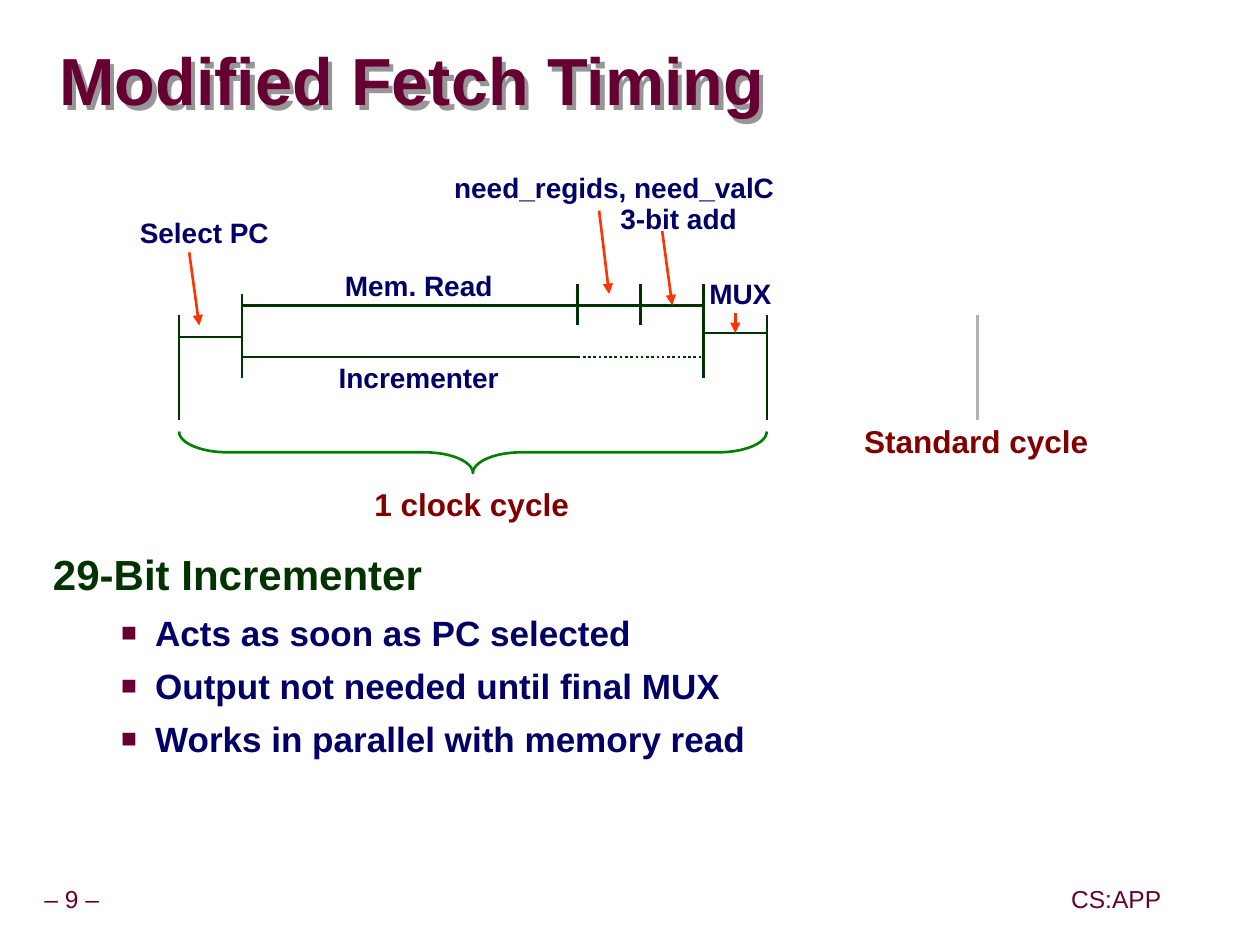
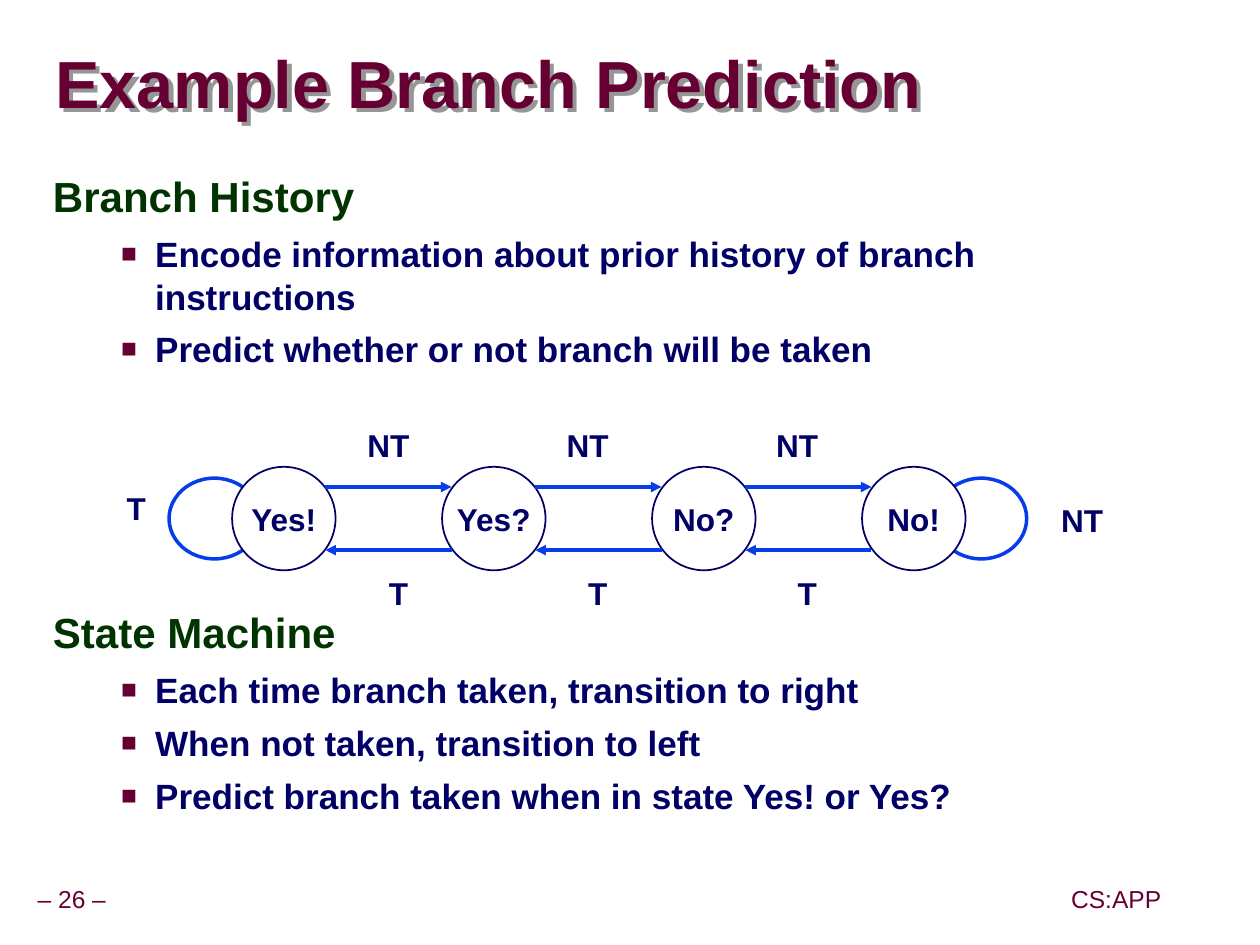
"""Builds two lecture slides: fetch timing and branch prediction."""
import pptx
import pptx.util
import pptx.dml.color
import pptx.enum.dml
import pptx.enum.shapes
import pptx.enum.text
import pptx.oxml

Inch, Pt = pptx.util.Inches, pptx.util.Pt
Align, Anchor = pptx.enum.text.PP_ALIGN, pptx.enum.text.MSO_ANCHOR
Shape = pptx.enum.shapes.MSO_SHAPE
WIDE, HIGH = 9.99, 7.49
WINE, PINE, NAVY, BRICK = "660033", "003300", "000066", "800000"
RED, LEAF, GREY, BLUE, SHADE = "FF3300", "008000", "B2B2B2", "063DE8", "969696"
SPACE = 'xmlns:a="http://schemas.openxmlformats.org/drawingml/2006/main"'

TIMING = {
    "title": "Modified Fetch Timing", "spot": (0.47, 0.25), "page": 9, "top": 4.33,
    "body": [("29-Bit Incrementer", 0, [
        "Acts as soon as PC selected",
        "Output not needed until final MUX",
        "Works in parallel with memory read"])],
}
BRANCH = {
    "title": "Example Branch Prediction", "spot": (0.44, 0.27), "page": 26, "top": 1.33,
    "body": [
        ("Branch History", 0, [
            "Encode information about prior history of branch instructions",
            "Predict whether or not branch will be taken"]),
        ("State Machine", 137, [
            "Each time branch taken, transition to right",
            "When not taken, transition to left",
            "Predict branch taken when in state Yes! or Yes?"])],
}

START, PICK, READ, NEED, ADD, END = 1.42, 1.92, 4.58, 5.08, 5.58, 6.08
UPPER, LOWER = 2.42, 2.83
BARS = [(START, 2.5, 3.33), (PICK, 2.33, 3), (READ, 2.25, 2.58),
        (NEED, 2.25, 2.58), (ADD, 2.25, 3), (END, 2.5, 3.33)]
SPANS = [(START, PICK, 2.67), (PICK, READ, UPPER), (READ, NEED, UPPER),
         (NEED, ADD, UPPER), (ADD, END, 2.64), (PICK, READ, LOWER)]
HINTS = [(1.5, 2, 1.58, 2.58), (4.75, 1.67, 4.83, 2.33),
         (5.25, 1.83, 5.33, 2.42), (5.83, 2.48, 5.83, 2.64)]
STEPS = [("Select PC", 1.62, 1.69, 1.12), ("Mem. Read", 3.32, 2.11, 1.27),
         ("Incrementer", 3.32, 2.84, 1.37), ("need_regids, need_valC", 4.87, 1.33, 2.64),
         ("3-bit add", 5.38, 1.58, 1.02), ("MUX", 5.87, 2.17, 0.59)]
CYCLES = [("1 clock cycle", 3.74, 3.83, 1.64), ("Standard cycle", 7.74, 3.33, 1.88)]

STATES = ["Yes!", "Yes?", "No?", "No!"]
FIRST, PITCH, DISC, RING = 1.84, 1.665, 0.82, 3.7
MOVES = [("NT", 3.08, 3.33), ("NT", 4.66, 3.33), ("NT", 6.32, 3.33), ("NT", 8.58, 3.92),
         ("T", 3.16, 4.5), ("T", 4.74, 4.5), ("T", 6.4, 4.5), ("T", 1.08, 3.83)]


def tint(code):
    return pptx.dml.color.RGBColor.from_string(code)


def node(text):
    return pptx.oxml.parse_xml(text)


def write(para, text, size=18, color=NAVY, bold=True, align=Align.CENTER, lead=1.0, gap=0):
    run = para.add_run()
    run.text = text
    para.alignment, para.line_spacing, para.space_before = align, lead, Pt(gap)
    run.font.name, run.font.size, run.font.bold = "Arial", Pt(size), bold
    run.font.color.rgb = tint(color)


def fit(frame, side=0.05, edge=0.05, anchor=Anchor.TOP, wrap=False):
    frame.auto_size = pptx.enum.text.MSO_AUTO_SIZE.NONE
    frame.margin_left = frame.margin_right = Inch(side)
    frame.margin_top = frame.margin_bottom = Inch(edge)
    frame.vertical_anchor, frame.word_wrap = anchor, wrap


def place(shape, left, top, width, height):
    shape.left, shape.top = Inch(left), Inch(top)
    shape.width, shape.height = Inch(width), Inch(height)


def label(slide, text, mid, top, width, height=0.34, anchor=Anchor.TOP, **style):
    box = slide.shapes.add_textbox(Inch(mid - width / 2), Inch(top), Inch(width), Inch(height))
    fit(box.text_frame, anchor=anchor)
    write(box.text_frame.paragraphs[0], text, **style)


def rule(slide, x1, y1, x2, y2, color=PINE, width=1.5, arrow=False, dots=False):
    line = slide.shapes.add_connector(
        pptx.enum.shapes.MSO_CONNECTOR.STRAIGHT, Inch(x1), Inch(y1), Inch(x2), Inch(y2))
    line.line.color.rgb, line.line.width = tint(color), Pt(width)
    if dots:
        line.line.dash_style = pptx.enum.dml.MSO_LINE.ROUND_DOT
    if arrow:
        line.line._get_or_add_ln().append(node(f'<a:tailEnd {SPACE} type="triangle"/>'))
    line._element.spPr.append(node(f"<a:effectLst {SPACE}/>"))


def form(slide, kind, left, top, width, height, color, thick, fill=None):
    shape = slide.shapes.add_shape(kind, Inch(left), Inch(top), Inch(width), Inch(height))
    shape.shadow.inherit = False
    shape.line.color.rgb, shape.line.width = tint(color), Pt(thick)
    if fill:
        shape.fill.solid()
        shape.fill.fore_color.rgb = tint(fill)
    else:
        shape.fill.background()
    return shape


def bullet(para, margin, hang, mark):
    props = para._p.get_or_add_pPr()
    props.set("marL", str(Inch(margin)))
    props.set("indent", str(Inch(-hang)))
    parts = ["<a:buNone {}/>"]
    if mark:
        parts = ['<a:buClr {}><a:srgbClr val="' + WINE + '"/></a:buClr>',
                 '<a:buSzPct {} val="75000"/>', '<a:buFont {} typeface="Arial"/>',
                 '<a:buChar {} char="■"/>']
    for part in parts:
        props.append(node(part.format(SPACE)))


def outline(frame, body):
    fit(frame, side=0.1, wrap=True)
    rows = []
    for head, gap, items in body:
        rows.append((head, 0, gap))
        rows += [(item, 1, 6.2) for item in items]
    for i, (text, level, gap) in enumerate(rows):
        para = frame.add_paragraph() if i else frame.paragraphs[0]
        para.level = level
        if level:
            bullet(para, 0.81, 0.27, True)
            write(para, text, size=20, align=Align.LEFT, gap=gap)
        else:
            bullet(para, 0.42, 0.42, False)
            write(para, text, size=24, color=PINE, align=Align.LEFT, lead=0.95, gap=gap)


def base(deck, data):
    slide = deck.slides.add_slide(deck.slide_layouts[1])
    title, body = slide.placeholders
    place(title, *data["spot"], 9.52, 0.85)
    fit(title.text_frame, side=0, edge=0, anchor=Anchor.MIDDLE, wrap=True)
    write(title.text_frame.paragraphs[0], data["title"], size=38, color=WINE,
          align=Align.LEFT, lead=0.87)
    title._element.spPr.append(node(
        f'<a:effectLst {SPACE}><a:outerShdw dist="45720" dir="2700000" algn="ctr" '
        f'rotWithShape="0"><a:srgbClr val="{SHADE}"/></a:outerShdw></a:effectLst>'))
    place(body, 0.32, data["top"], 9.07, 7.03 - data["top"])
    outline(body.text_frame, data["body"])
    for text, mid, width in [(f"– {data['page']} –", 0.57, 1.1), ("CS:APP", 8.85, 0.82)]:
        label(slide, text, mid, 6.98, width, 0.31, anchor=Anchor.MIDDLE,
              size=14, color=WINE, bold=False, lead=0.9)
    return slide


def timing(slide):
    for x, top, low in BARS:
        rule(slide, x, top, x, low)
    for left, right, y in SPANS:
        rule(slide, left, y, right, y)
    rule(slide, READ, LOWER, ADD, LOWER, dots=True)
    rule(slide, 7.75, 2.5, 7.75, 3.33, color=GREY)
    for ends in HINTS:
        rule(slide, *ends, color=RED, arrow=True)
    for step in STEPS:
        label(slide, *step, size=16, lead=0.9)
    for cycle in CYCLES:
        label(slide, *cycle, height=0.37, color=BRICK, lead=0.9)
    span, deep = END - START, 0.33
    brace = form(slide, Shape.LEFT_BRACE, (START + END - deep) / 2, 3.585 - span / 2,
                 deep, span, LEAF, 1.5)
    brace.rotation = 270
    brace.adjustments[0] = 1.17


def states(slide):
    for left in (1.34, 7.42):
        form(slide, Shape.OVAL, left, 3.79, 0.72, 0.64, BLUE, 2)
    for i, name in enumerate(STATES):
        left = FIRST + i * PITCH
        disc = form(slide, Shape.OVAL, left, RING, DISC, DISC, NAVY, 1, "FFFFFF")
        fit(disc.text_frame, side=0.1, anchor=Anchor.MIDDLE)
        write(disc.text_frame.paragraphs[0], name)
    for i in range(len(STATES) - 1):
        near = FIRST + i * PITCH + 0.74
        far = near + 1
        rule(slide, near, 3.86, far, 3.86, color=BLUE, width=2, arrow=True)
        rule(slide, far, 4.36, near, 4.36, color=BLUE, width=2, arrow=True)
    for text, mid, top in MOVES:
        label(slide, text, mid, top, 0.53, 0.4)


def main():
    deck = pptx.Presentation()
    deck.slide_width, deck.slide_height = Inch(WIDE), Inch(HIGH)
    timing(base(deck, TIMING))
    states(base(deck, BRANCH))
    deck.save("out.pptx")


if __name__ == "__main__":
    main()
